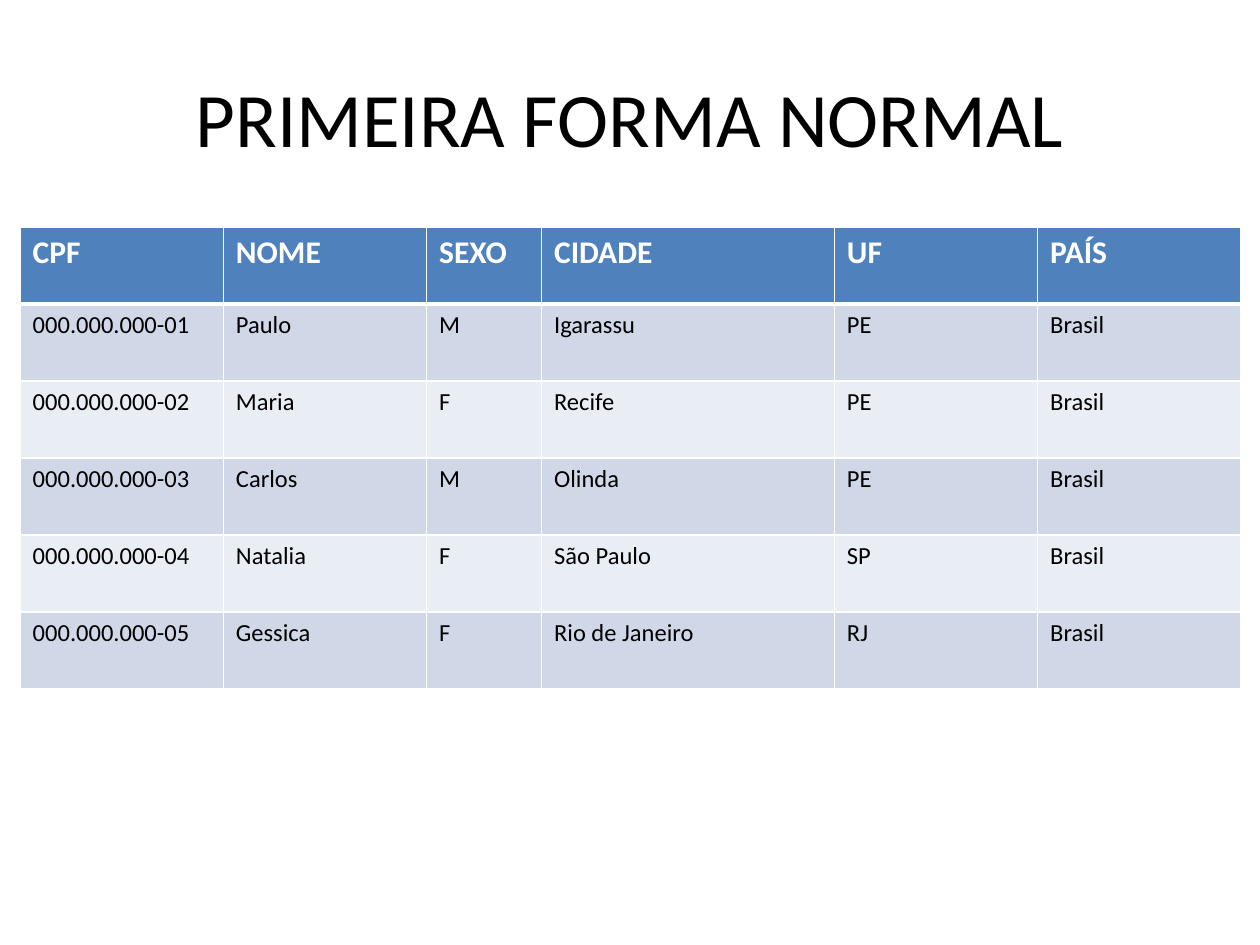
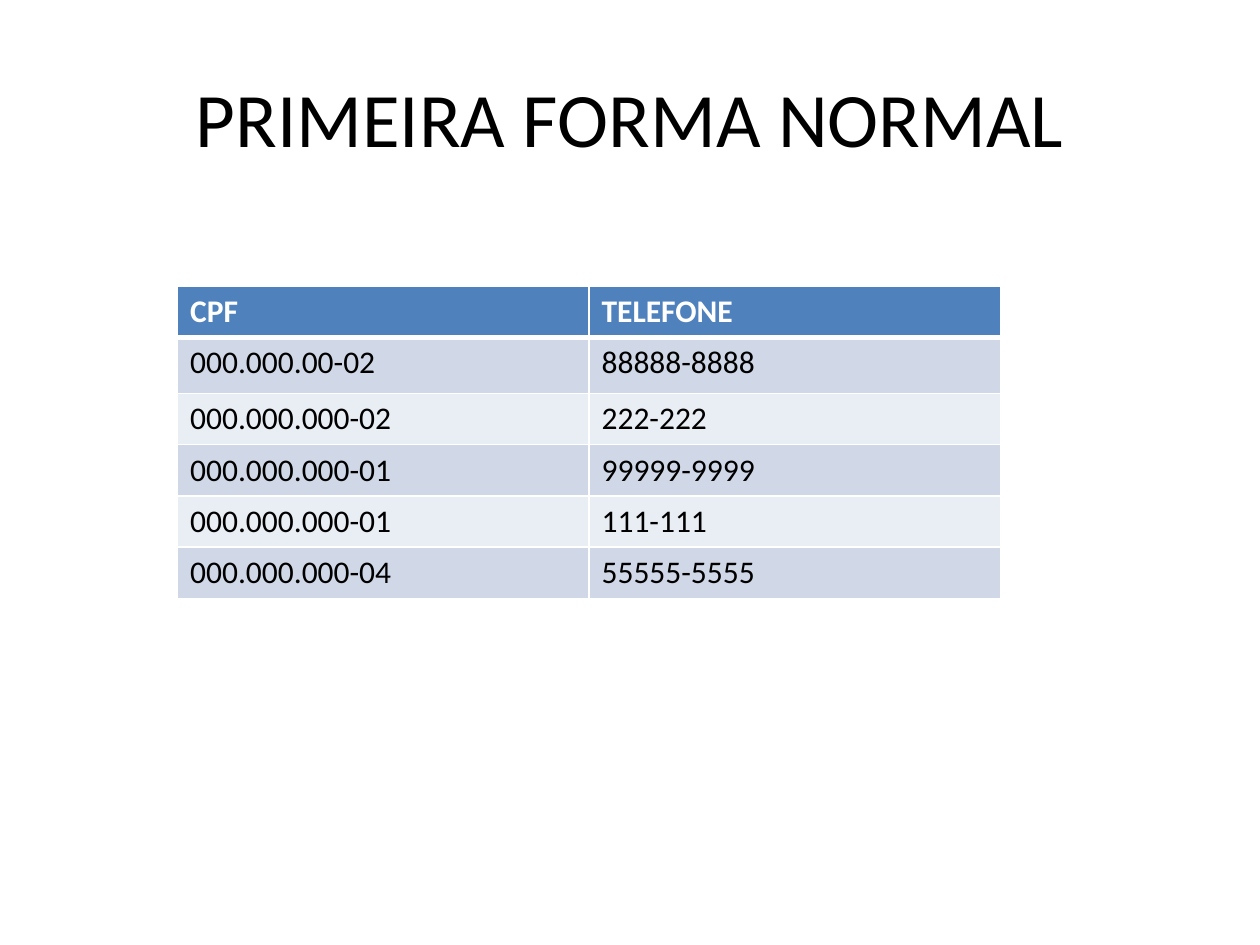
from lxml import etree
from pptx import Presentation, util as u
from pptx.dml.color import RGBColor
from pptx.enum import text
from pptx.oxml import ns

WHITE = RGBColor(0xFF, 0xFF, 0xFF)
BLACK = RGBColor(0, 0, 0)
HEAD = RGBColor(0x4F, 0x81, 0xBD)
BANDS = RGBColor(0xD0, 0xD8, 0xE8), RGBColor(0xE9, 0xED, 0xF4)
FONT = "Calibri"
COLS, ROWS = 100, 75
TITLE = (5, 3, 90, 12.5)

deck = Presentation()
deck.slide_width, deck.slide_height = u.Inches(10), u.Inches(7.5)


def across(n):
    return round(deck.slide_width * n / COLS)


def down(n):
    return round(deck.slide_height * n / ROWS)


def place(box):
    x, y, w, h = box
    return across(x), down(y), across(w), down(h)


def write(frame, words, size, color, bold=False):
    para = frame.paragraphs[0]
    run = para.add_run()
    run.text = words
    font = run.font
    font.name, font.size, font.bold = FONT, u.Pt(size), bold
    font.color.rgb = color
    return para


def add_title(slide, box, words):
    frame = slide.shapes.add_textbox(*place(box)).text_frame
    frame.word_wrap = True
    frame.vertical_anchor = text.MSO_ANCHOR.MIDDLE
    write(frame, words, 44, BLACK).alignment = text.PP_ALIGN.CENTER


def add_edges(cell, widths):
    props = cell._tc.get_or_add_tcPr()
    for spot, (side, width) in enumerate(zip("LRTB", widths)):
        line = etree.Element(ns.qn("a:ln" + side), w=str(u.Pt(width)))
        fill = etree.SubElement(line, ns.qn("a:solidFill"))
        etree.SubElement(fill, ns.qn("a:srgbClr"), val=str(WHITE))
        props.insert(spot, line)


def add_grid(slide, box, shares, tall, size, data):
    x, y, w, h = place(box)
    grid = slide.shapes.add_table(len(data), len(shares), x, y, w, h).table
    for col, share in zip(grid.columns, shares):
        col.width = round(w * share / sum(shares))
    for row, part in zip(grid.rows, tall):
        row.height = round(h * part / sum(tall))
    for r, line in enumerate(data):
        head = r == 0
        for c, words in enumerate(line):
            cell = grid.cell(r, c)
            cell.fill.solid()
            cell.fill.fore_color.rgb = HEAD if head else BANDS[(r - 1) % 2]
            add_edges(cell, (1, 1, 3 if r == 1 else 1, 3 if head else 1))
            write(cell.text_frame, words, 18 if head else size,
                  WHITE if head else BLACK, head)


def add_page(box, shares, tall, size, data):
    slide = deck.slides.add_slide(deck.slide_layouts[6])
    add_title(slide, TITLE, "PRIMEIRA FORMA NORMAL")
    add_grid(slide, box, shares, tall, size, data)


PEOPLE = [
    ("CPF", "NOME", "SEXO", "CIDADE", "UF", "PAÍS"),
    ("000.000.000-01", "Paulo", "M", "Igarassu", "PE", "Brasil"),
    ("000.000.000-02", "Maria", "F", "Recife", "PE", "Brasil"),
    ("000.000.000-03", "Carlos", "M", "Olinda", "PE", "Brasil"),
    ("000.000.000-04", "Natalia", "F", "São Paulo", "SP", "Brasil"),
    ("000.000.000-05", "Gessica", "F", "Rio de Janeiro", "RJ", "Brasil"),
]
PHONES = [
    ("CPF", "TELEFONE"),
    ("000.000.00-02", "88888-8888"),
    ("000.000.000-02", "222-222"),
    ("000.000.000-01", "99999-9999"),
    ("000.000.000-01", "111-111"),
    ("000.000.000-04", "55555-5555"),
]

add_page((1.6, 18, 96.9, 36.7), (1.61, 1.61, 0.91, 2.32, 1.61, 1.61),
         [1] * 6, 14, PEOPLE)
add_page((14.1, 22.7, 65.3, 24.8), (1, 1),
         (0.41, 0.45, 0.41, 0.41, 0.41, 0.41), 18, PHONES)
deck.save("out.pptx")
